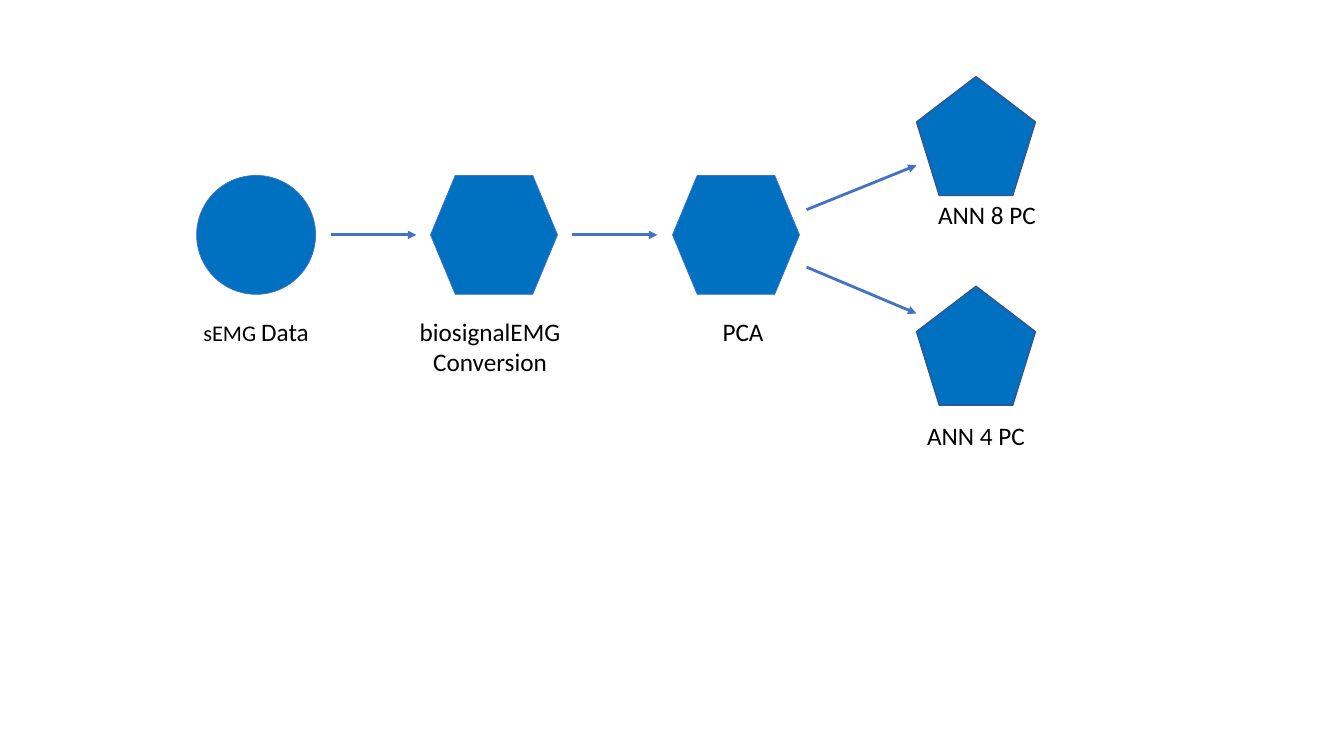
from dataclasses import dataclass

from lxml import etree
from pptx import Presentation
from pptx import util as u
from pptx.dml.color import RGBColor
from pptx.enum import shapes, text
from pptx.oxml.ns import qn

SHAPE = shapes.MSO_SHAPE


@dataclass(frozen=True)
class Theme:
    """Colours, font and type sizes of the slide."""
    fill: str = "0070C0"
    accent: str = "4472C4"
    edge: str = "325491"
    ink: str = "000000"
    font: str = "Calibri"
    size: int = 18
    small: int = 16


def add_run(p, content, *, font, size, color):
    """Append a formatted run to a paragraph."""
    r = p.add_run()
    r.text = content
    r.font.name = font
    r.font.size = u.Pt(size)
    r.font.color.rgb = RGBColor.from_string(color)


class Diagram:
    """Draws flow elements on a slide grid of tenths of an inch."""

    def __init__(self, prs, theme):
        """Add a blank slide and keep the theme."""
        self.theme = theme
        self.slide = prs.slides.add_slide(prs.slide_layouts[6])

    def grid(self, *cells):
        """Turn columns or rows into lengths."""
        return [u.Inches(c / 10) for c in cells]

    def node(self, kind, col, row, cols, rows, line, width, inset=None):
        """Add a filled shape."""
        sp = self.slide.shapes.add_shape(kind, *self.grid(col, row, cols, rows))
        sp.shadow.inherit = False
        sp.fill.solid()
        sp.fill.fore_color.rgb = RGBColor.from_string(self.theme.fill)
        sp.line.color.rgb = RGBColor.from_string(line)
        sp.line.width = u.Pt(width)
        if inset is not None:
            sp.adjustments[0] = inset

    def label(self, col, row, cols, *paragraphs):
        """Add a centred label; each paragraph is a list of text and size pairs."""
        rows = 1.3 + 2.8 * len(paragraphs)
        sp = self.slide.shapes.add_textbox(*self.grid(col, row, cols, rows))
        tf = sp.text_frame
        tf.word_wrap = True
        tf.auto_size = text.MSO_AUTO_SIZE.SHAPE_TO_FIT_TEXT
        for i, runs in enumerate(paragraphs):
            p = tf.add_paragraph() if i else tf.paragraphs[0]
            p.alignment = text.PP_ALIGN.CENTER
            for content, size in runs:
                add_run(p, content, font=self.theme.font, size=size,
                        color=self.theme.ink)

    def arrow(self, *ends):
        """Add an arrow from one grid point to another."""
        line = self.slide.shapes.add_connector(
            shapes.MSO_CONNECTOR.STRAIGHT, *self.grid(*ends))
        line.line.color.rgb = RGBColor.from_string(self.theme.accent)
        line.line.width = u.Pt(2)
        etree.SubElement(line.line._get_or_add_ln(), qn("a:tailEnd"), type="triangle")
        etree.SubElement(line._element.spPr, qn("a:effectLst"))


def main():
    """Build the signal processing flow."""
    prs = Presentation()
    prs.slide_width, prs.slide_height = u.Inches(13.33), u.Inches(7.5)
    theme = Theme()
    d = Diagram(prs, theme)
    side, hex_width = 11.8, 12.6
    stage_row, label_row, axis = 17.4, 30.9, 23.3

    d.node(SHAPE.OVAL, 19.5, stage_row, side, side, theme.accent, 0.5)
    for col in (42.7, 66.7):
        d.node(SHAPE.HEXAGON, col, stage_row, hex_width, side, theme.accent, 0.5, 0.208)
    for row in (7.6, 28.4):
        d.node(SHAPE.REGULAR_PENTAGON, 90.9, row, side, side, theme.edge, 1)

    for col in (32.8, 56.7):
        d.arrow(col, axis, col + 8.5, axis)
    for start, end in ((20.8, 16.4), (26.5, 31.1)):
        d.arrow(80, start, 90.9, end)

    d.label(17.1, label_row, 16.6, [("sEMG ", theme.small), ("Data", theme.size)])
    d.label(39.5, label_row, 18.2,
            [("biosignalEMG", theme.size)], [("Conversion", theme.size)])
    for name, col, row in (("PCA", 67.4, label_row), ("ANN 8 PC", 91.6, 19.3),
                           ("ANN 4 PC", 90.5, 41.2)):
        d.label(col, row, hex_width, [(name, theme.size)])
    prs.save("out.pptx")


if __name__ == "__main__":
    main()
